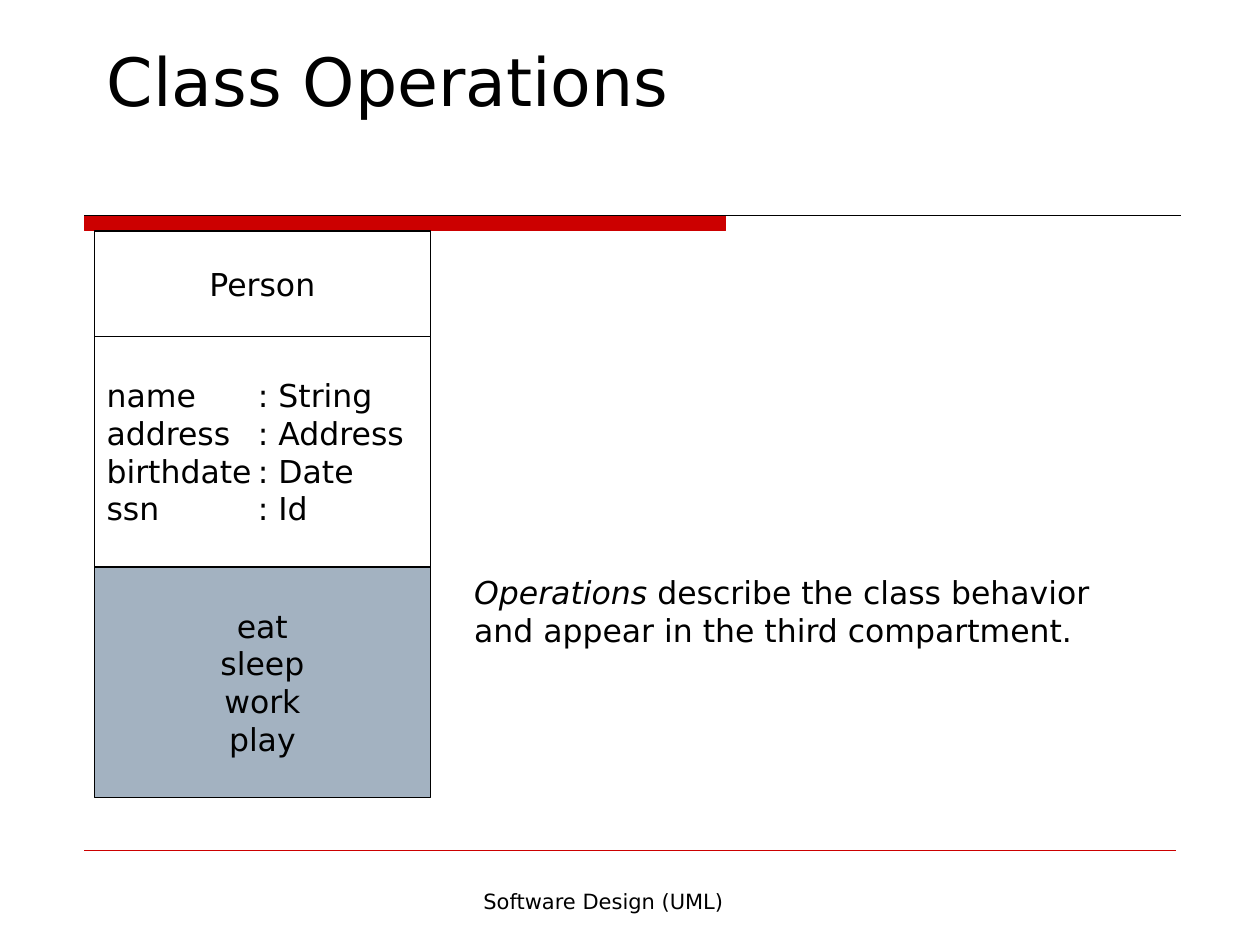
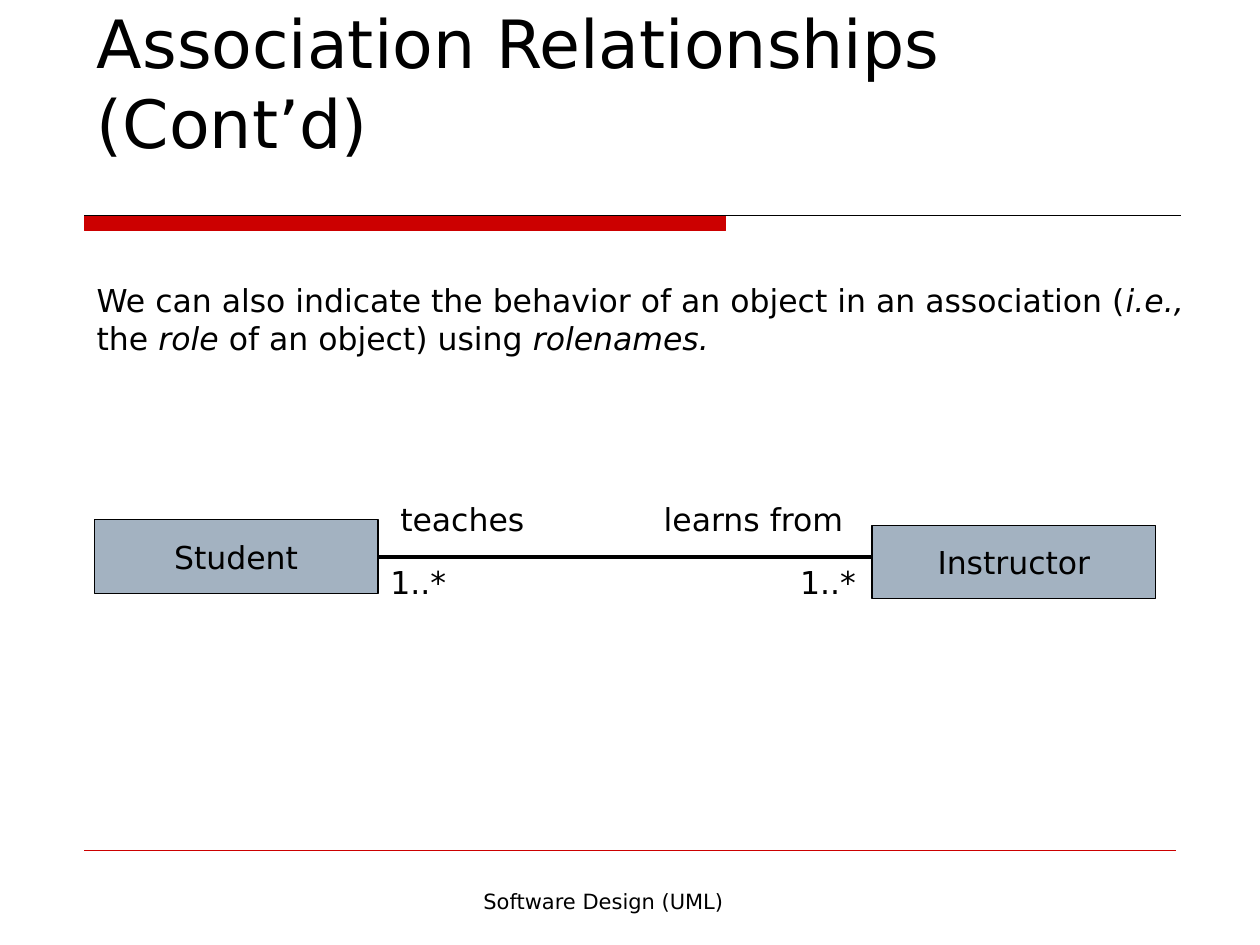
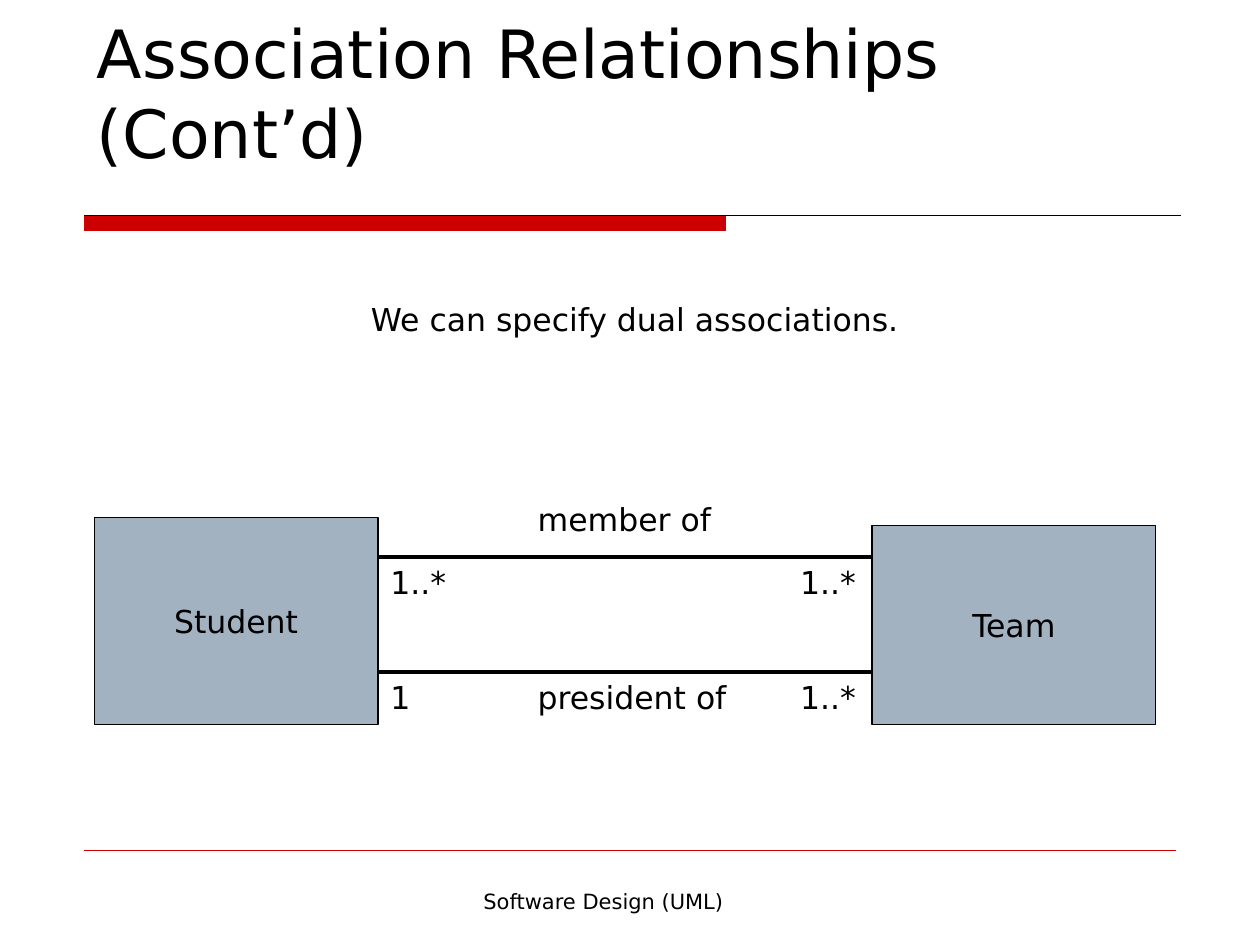
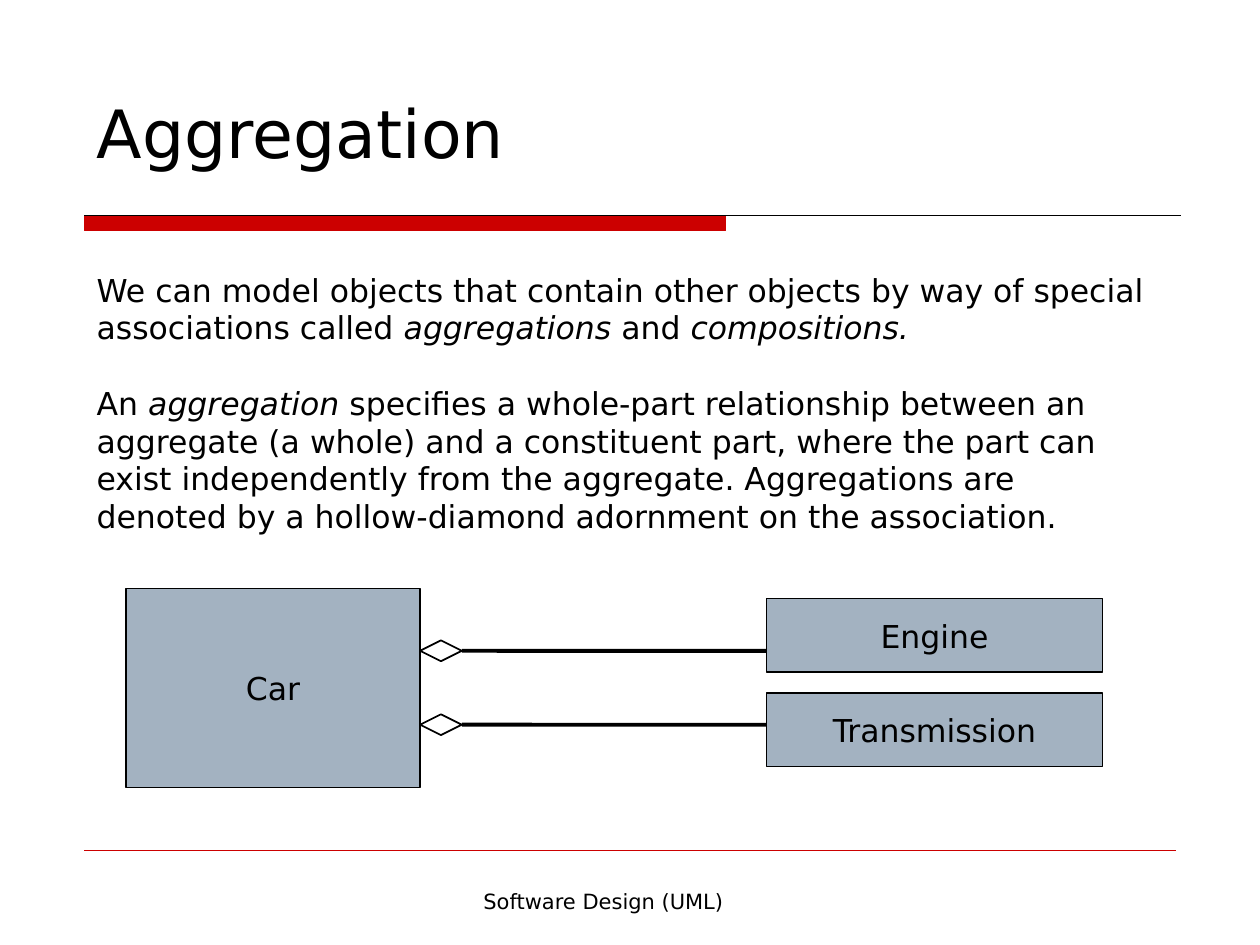
from lxml.etree import SubElement
from pptx import Presentation
from pptx.dml.color import RGBColor
from pptx.enum.shapes import MSO_CONNECTOR, MSO_SHAPE
from pptx.enum.text import MSO_ANCHOR, MSO_AUTO_SIZE, PP_ALIGN
from pptx.oxml.ns import qn
from pptx.util import Cm, Pt

FONT = "DejaVu Sans"
BLACK, WHITE, RED, STEEL = "000000", "FFFFFF", "CC0000", "A3B2C1"
LEFT, CENTER = PP_ALIGN.LEFT, PP_ALIGN.CENTER
FOOTER = "Software Design (UML)"
FOOTER_BOX = (6.55, 17.78, 11.23, 1.27)
BAND = (1.7, 4.34, 12.93, 0.31)
RULES = [((1.7, 4.34), (23.8, 4.34), BLACK), ((1.7, 17.15), (23.7, 17.15), RED)]
TAB_STOP = 3.05
DIAMOND_W, DIAMOND_H = 0.84, 0.42

# Text between underscores is italic.
SLIDES = [
    {
        "title": ("Class Operations", (1.9, 1.06, 21.8, 1.48)),
        "boxes": [
            (["Person"], (1.9, 4.66, 6.78, 2.12), WHITE, CENTER),
            (["name\t: String", "address\t: Address", "birthdate\t: Date", "ssn\t: Id"],
             (1.9, 6.78, 6.78, 4.65), WHITE, LEFT),
            (["eat", "sleep", "work", "play"], (1.9, 11.43, 6.78, 4.65), STEEL, CENTER),
        ],
        "texts": [
            (["_Operations _describe the class behavior",
              "and appear in the third compartment."], (9.31, 11.43, 13.84, 2.29), LEFT),
        ],
    },
    {
        "title": ("Association Relationships (Cont’d)", (1.7, 1.9, 22.86, 1.48)),
        "boxes": [
            (["Student"], (1.9, 10.48, 5.72, 1.48), STEEL, CENTER),
            (["Instructor"], (17.58, 10.59, 5.72, 1.48), STEEL, CENTER),
        ],
        "texts": [
            (["We can also indicate the behavior of an object in an association "
              "(_i.e.,_ the _role _of an object) using _rolenames._"],
             (1.7, 5.54, 22.53, 2.29), LEFT),
            (["teaches"], (7.82, 9.96, 3.18, 1.27), LEFT),
            (["learns from"], (13.13, 9.96, 4.45, 1.27), LEFT),
            (["1..*"], (7.62, 11.22, 1.9, 1.27), LEFT),
            (["1..*"], (15.88, 11.22, 1.9, 1.27), LEFT),
        ],
        "links": [("Student", 7.62, 17.58, 11.22)],
    },
    {
        "title": ("Association Relationships (Cont’d)", (1.7, 2.11, 22.43, 1.48)),
        "boxes": [
            (["Student"], (1.9, 10.44, 5.72, 4.16), STEEL, CENTER),
            (["Team"], (17.58, 10.59, 5.72, 4.01), STEEL, CENTER),
        ],
        "texts": [
            (["We can specify dual associations."], (1.9, 5.92, 21.8, 1.27), CENTER),
            (["member of"], (10.59, 9.96, 4.88, 1.27), LEFT),
            (["1..*"], (7.62, 11.22, 1.9, 1.27), LEFT),
            (["1..*"], (15.88, 11.22, 1.9, 1.27), LEFT),
            (["president of"], (10.59, 13.54, 4.88, 1.27), LEFT),
            (["1"], (7.62, 13.54, 1.06, 1.02), LEFT),
            (["1..*"], (15.88, 13.54, 1.9, 1.27), LEFT),
        ],
        "links": [(None, 7.62, 17.58, 11.22), (None, 7.62, 17.58, 13.54)],
    },
    {
        "title": ("Aggregation", (1.7, 2.11, 22.43, 1.48)),
        "boxes": [
            (["Car"], (2.54, 11.86, 5.93, 4.01), STEEL, CENTER),
            (["Engine"], (15.45, 12.07, 6.78, 1.48), STEEL, CENTER),
            (["Transmission"], (15.45, 13.97, 6.78, 1.48), STEEL, CENTER),
        ],
        "texts": [
            (["We can model objects that contain other objects by way of special "
              "associations called _aggregations_ and _compositions._",
              "An _aggregation_ specifies a whole-part relationship between an "
              "aggregate (a whole) and a constituent part, where the part can exist "
              "independently from the aggregate. Aggregations are denoted by a "
              "hollow-diamond adornment on the association."],
             (1.7, 5.33, 21.8, 7.37), LEFT, 21.5),
        ],
        "links": [("diamond", 8.47, 15.45, 13.12), ("diamond", 8.47, 15.45, 14.61)],
    },
]


def rgb(color):
    return RGBColor.from_string(color)


def cm(values):
    return [Cm(v) for v in values]


def write(tf, paras, align=LEFT, size=18, gap=0):
    tf.word_wrap = True
    for i, text in enumerate(paras):
        p = tf.paragraphs[0] if i == 0 else tf.add_paragraph()
        p.alignment = align
        if i:
            p.space_before = Pt(gap)
        if "\t" in text:
            tabs = SubElement(p._p.get_or_add_pPr(), qn("a:tabLst"))
            SubElement(tabs, qn("a:tab"), pos=str(Cm(TAB_STOP)), algn="l")
        for j, part in enumerate(text.split("_")):
            if part:
                r = p.add_run()
                r.text = part
                style = {"name": FONT, "size": Pt(size), "italic": j % 2 == 1}
                for key, value in style.items():
                    setattr(r.font, key, value)
                r.font.color.rgb = rgb(BLACK)


def add_text(s, paras, box, align, gap=0, size=18, fit=MSO_AUTO_SIZE.SHAPE_TO_FIT_TEXT):
    tf = s.shapes.add_textbox(*cm(box)).text_frame
    write(tf, paras, align, size, gap)
    tf.auto_size = fit


def add_shape(s, kind, box, fill, line=BLACK, width=0.75):
    sp = s.shapes.add_shape(kind, *cm(box))
    sp.shadow.inherit = False
    sp.fill.solid()
    sp.fill.fore_color.rgb = rgb(fill)
    sp.line.color.rgb = rgb(line)
    sp.line.width = Pt(width)
    return sp


def add_line(s, start, end, color=BLACK, width=2.25):
    ln = s.shapes.add_connector(MSO_CONNECTOR.STRAIGHT, *cm(start + end))
    ln.line.color.rgb = rgb(color)
    ln.line.width = Pt(width)
    SubElement(ln._element.spPr, qn("a:effectLst"))
    return ln


def add_title(s, text, box):
    title = s.shapes.title
    for key, value in zip(("left", "top", "width", "height"), cm(box)):
        setattr(title, key, value)
    tf = title.text_frame
    write(tf, [text], size=38)
    tf.vertical_anchor = MSO_ANCHOR.BOTTOM
    tf.auto_size = MSO_AUTO_SIZE.NONE


def add_box(s, paras, box, fill, align):
    sp = add_shape(s, MSO_SHAPE.RECTANGLE, box, fill)
    write(sp.text_frame, paras, align)
    sp.text_frame.vertical_anchor = MSO_ANCHOR.MIDDLE
    return sp


def add_link(s, boxes, start, x1, x2, y):
    ln = add_line(s, (x1, y), (x2, y))
    if start == "diamond":
        box = (x1, y - DIAMOND_H / 2, DIAMOND_W, DIAMOND_H)
        ln.begin_connect(add_shape(s, MSO_SHAPE.DIAMOND, box, WHITE, width=1), 3)
    elif start:
        ln.begin_connect(boxes[start], 3)


def decorate(layout, s):
    parts = [add_shape(s, MSO_SHAPE.RECTANGLE, BAND, RED, RED)]
    parts += [add_line(s, start, end, color, 0.75) for start, end, color in RULES]
    for part in parts:
        layout.shapes._spTree.append(part._element)


def main():
    prs = Presentation()
    prs.slide_width, prs.slide_height = Cm(25.4), Cm(19.05)
    layout = prs.slide_layouts[5]
    for i, data in enumerate(SLIDES):
        s = prs.slides.add_slide(layout)
        if i == 0:
            decorate(layout, s)
        add_text(s, [FOOTER], FOOTER_BOX, CENTER, size=12, fit=MSO_AUTO_SIZE.NONE)
        add_title(s, *data["title"])
        boxes = {box[0][0]: add_box(s, *box) for box in data["boxes"]}
        for link in data.get("links", []):
            add_link(s, boxes, *link)
        for text in data["texts"]:
            add_text(s, *text)
    prs.save("out.pptx")


if __name__ == "__main__":
    main()
